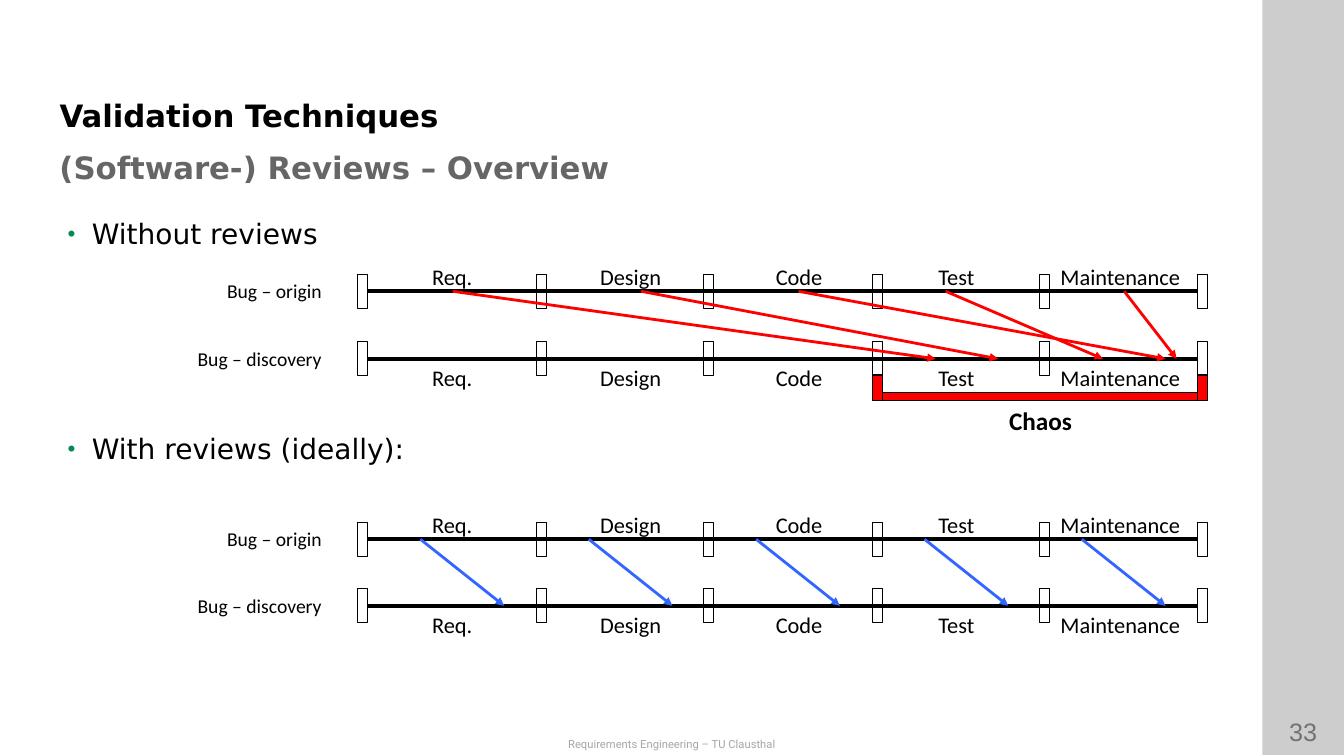
from lxml import etree
from pptx import Presentation
from pptx import util as u
from pptx.dml.color import RGBColor
from pptx.enum import shapes, text
from pptx.oxml.ns import qn

HUES = {
    "black": "000000",
    "gray": "666666",
    "page": "737373",
    "foot": "A6A6A6",
    "band": "CDCDCD",
    "red": "FF0000",
    "blue": "3366FF",
    "green": "008C4F",
}
LEFT, MID, RIGHT = text.PP_ALIGN.LEFT, text.PP_ALIGN.CENTER, text.PP_ALIGN.RIGHT
TOP, CORE, BASE = text.MSO_ANCHOR.TOP, text.MSO_ANCHOR.MIDDLE, text.MSO_ANCHOR.BOTTOM


def hue(name):
    return RGBColor.from_string(HUES[name])


def write(para, words, size=16, face="Calibri", color="black", bold=False,
          align=LEFT, before=0, dot=None):
    if dot:
        props = para._p.get_or_add_pPr()
        props.set("marL", str(u.Inches(0.24)))
        props.set("indent", str(-u.Inches(0.24)))
        tint = etree.SubElement(props, qn("a:buClr"))
        etree.SubElement(tint, qn("a:srgbClr"), val=HUES[dot])
        etree.SubElement(props, qn("a:buSzPct"), val="80000")
        etree.SubElement(props, qn("a:buFont"), typeface="Arial")
        etree.SubElement(props, qn("a:buChar"), char="•")
    para.alignment = align
    para.space_before = u.Pt(before)
    run = para.add_run()
    run.text = words
    font = run.font
    font.size, font.name, font.bold = u.Pt(size), face, bold
    font.color.rgb = hue(color)


class Deck:
    face = "DejaVu Sans"
    thin = 0.75

    def __init__(self):
        self.show = Presentation()
        self.show.slide_width = u.Inches(13.33)
        self.show.slide_height = u.Inches(7.5)
        self.slide = self.show.slides.add_slide(self.show.slide_layouts[1])
        self.items = self.slide.shapes

    def frame(self, shape, anchor, pad=(0, 0, 0, 0)):
        area = shape.text_frame
        area.word_wrap = True
        area.auto_size = text.MSO_AUTO_SIZE.NONE
        area.vertical_anchor = anchor
        (area.margin_left, area.margin_top,
         area.margin_right, area.margin_bottom) = map(u.Inches, pad)
        return area

    def holder(self, index, box, anchor, pad=(0, 0, 0, 0)):
        shape = self.slide.placeholders[index]
        shape.left, shape.top, shape.width, shape.height = map(u.Inches, box)
        return self.frame(shape, anchor, pad)

    def label(self, words, box, anchor=TOP, pad=(0.1, 0.05, 0.1, 0.05), **form):
        shape = self.items.add_textbox(*map(u.Inches, box))
        write(self.frame(shape, anchor, pad).paragraphs[0], words, **form)

    def rect(self, box, fill=None, edge="black"):
        shape = self.items.add_shape(shapes.MSO_SHAPE.RECTANGLE, *map(u.Inches, box))
        shape.shadow.inherit = False
        if fill:
            shape.fill.solid()
            shape.fill.fore_color.rgb = hue(fill)
        else:
            shape.fill.background()
        if edge:
            shape.line.color.rgb = hue(edge)
            shape.line.width = u.Pt(self.thin)
        else:
            shape.line.fill.background()
        return shape

    def line(self, start, end, color="black", width=3, head=False):
        link = self.items.add_connector(
            shapes.MSO_CONNECTOR.STRAIGHT, *map(u.Inches, (*start, *end)))
        link.line.color.rgb = hue(color)
        link.line.width = u.Pt(width)
        if head:
            etree.SubElement(link.line._get_or_add_ln(), qn("a:tailEnd"), type="triangle")
        etree.SubElement(link._element.spPr, qn("a:effectLst"))
        return link


TICKS = (3.55, 5.32, 6.98, 8.65, 10.31, 11.88)
PHASES = (("Req.", 3.86), ("Design", 5.63), ("Code", 7.3),
          ("Test", 8.86), ("Maintenance", 10.42))
WIDE = 0.1


def track(deck, name, y, rise):
    deck.label(name, (0.94, y - 0.17, 2.35, 0.34), size=14, align=RIGHT)
    marks = [deck.rect((x, y - 0.17, WIDE, 0.34)) for x in TICKS]
    axis = deck.line((TICKS[0] + WIDE, y), (TICKS[-1], y))
    axis.begin_connect(marks[0], 3)
    axis.end_connect(marks[-1], 1)
    for phase, x in PHASES:
        last = phase == "Maintenance"
        deck.label(phase, (x, y - rise, 1.87 if last else 1.25, 0.37),
                   align=LEFT if last else MID)


def chart(deck, top, low, color, hops):
    track(deck, "Bug – origin", top, 0.33)
    track(deck, "Bug – discovery", low, 0)
    for start, end in hops:
        deck.line((start, top), (end, low), color, 2, head=True)


def main():
    deck = Deck()
    deck.rect((12.52, 0, 0.81, 7.49), "band", None)
    deck.label("33", (12.51, 7.06, 0.83, 0.4), size=18, face="Arial",
               color="page", align=MID)
    deck.label("Requirements Engineering – TU Clausthal", (0, 7.27, 13.33, 0.23),
               size=8, face="Roboto", color="foot", align=MID)

    title = deck.holder(0, (0.59, 0.79, 11.33, 0.54), BASE)
    write(title.paragraphs[0], "Validation Techniques", size=22, face=deck.face, bold=True)
    deck.label("(Software-) Reviews – Overview", (0.59, 1.39, 11.33, 0.54), CORE,
               (0, 0, 0, 0), size=22, face=deck.face, color="gray", bold=True)

    body = deck.holder(1, (0.67, 1.94, 11.58, 5.31), TOP, (0, 0.21, 0, 0))
    form = dict(size=20, face=deck.face, dot="green")
    write(body.paragraphs[0], "Without reviews", **form)
    write(body.add_paragraph(), "With reviews (ideally):", before=129.6, **form)

    chart(deck, 2.89, 3.56, "red", (
        (4.49, 9.28), (6.36, 9.9), (7.92, 11.56), (9.38, 10.94), (11.15, 11.67)))
    chart(deck, 5.35, 6.01, "blue", [
        (x, x + 0.83) for x in (4.17, 5.84, 7.5, 9.17, 10.73)])

    deck.rect((8.75, 3.89, 3.22, 0.08), "red")
    for x in (TICKS[3], TICKS[5]):
        deck.rect((x, 3.72, WIDE, 0.25), "red")
    deck.label("Chaos", (9.28, 3.97, 2.08, 0.4), size=18, bold=True, align=MID)
    deck.show.save("out.pptx")


if __name__ == "__main__":
    main()
